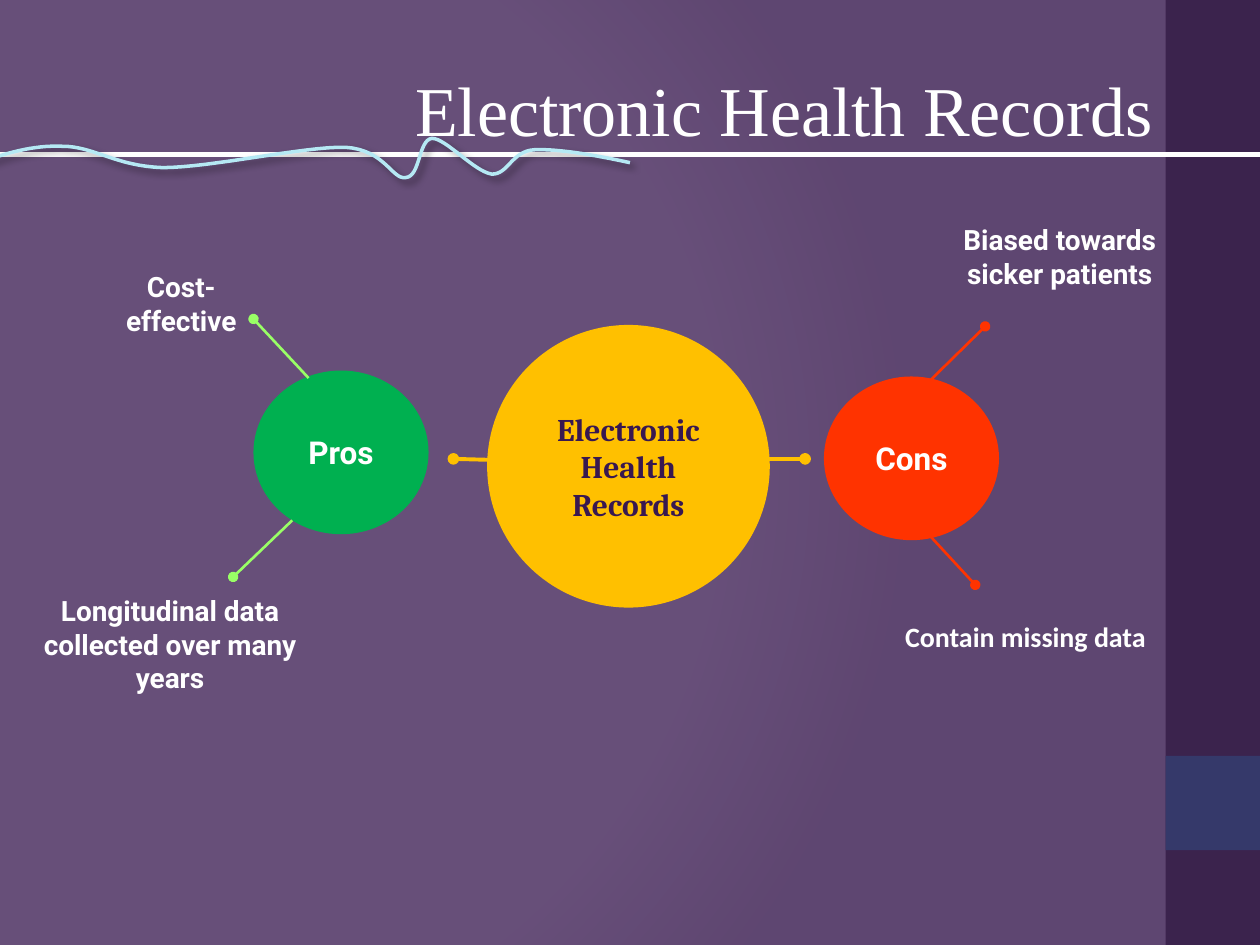
from dataclasses import dataclass

from lxml.etree import SubElement
from pptx import Presentation
from pptx.dml.color import RGBColor
from pptx.enum.shapes import MSO_CONNECTOR, MSO_SHAPE
from pptx.enum.text import MSO_ANCHOR, PP_ALIGN
from pptx.oxml import parse_xml
from pptx.oxml.ns import nsdecls, qn
from pptx.util import Cm, Pt

WHITE = RGBColor(0xFF, 0xFF, 0xFF)
GRAY = RGBColor(0x46, 0x46, 0x46)
TEAL = RGBColor(0x2D, 0xA2, 0xBF)
PURPLE = RGBColor(0x38, 0x18, 0x50)
PALE_BLUE = RGBColor(0xB5, 0xE9, 0xF4)
AMBER = RGBColor(0xFF, 0xC0, 0x00)
GREEN = RGBColor(0x00, 0xB0, 0x50)
LIGHT_GREEN = RGBColor(0x99, 0xFF, 0x66)
RED = RGBColor(0xFF, 0x33, 0x00)

CURVE_STEPS = 16


@dataclass(frozen=True)
class Box:
    left: float
    top: float
    width: float
    height: float

    def lengths(self):
        return Cm(self.left), Cm(self.top), Cm(self.width), Cm(self.height)


@dataclass(frozen=True)
class TextStyle:
    font: str
    size: int
    color: RGBColor = WHITE
    bold: bool = True
    align: PP_ALIGN = PP_ALIGN.CENTER
    anchor: MSO_ANCHOR = MSO_ANCHOR.TOP


@dataclass(frozen=True)
class Bubble:
    lines: tuple
    box: Box
    fill: RGBColor
    style: TextStyle
    border: float = 0


@dataclass(frozen=True)
class Spoke:
    """A line with a dot at its start, lengths in centimetres."""
    start: tuple
    end: tuple
    color: RGBColor
    width: float = 1.5


@dataclass(frozen=True)
class Label:
    text: str
    box: Box
    style: TextStyle


BUBBLE_STYLE = TextStyle("Roboto", 18, anchor=MSO_ANCHOR.MIDDLE)
HUB_STYLE = TextStyle("Cambria", 18, PURPLE, anchor=MSO_ANCHOR.MIDDLE)
LABEL_STYLE = TextStyle("Roboto", 16)
TITLE_STYLE = TextStyle("Times New Roman", 40, bold=False,
                        align=PP_ALIGN.RIGHT, anchor=MSO_ANCHOR.MIDDLE)

BUBBLES = (
    Bubble(("Electronic", "Health", "Records"), Box(9.98, 6.71, 5.38, 5.38),
           AMBER, HUB_STYLE, border=9),
    Bubble(("Pros",), Box(5.11, 7.47, 3.53, 3.3), GREEN, BUBBLE_STYLE),
    Bubble(("Cons",), Box(16.61, 7.59, 3.53, 3.3), RED, BUBBLE_STYLE),
)
SPOKES = (
    Spoke((5.11, 6.43), (6.22, 7.62), LIGHT_GREEN),
    Spoke((4.7, 11.63), (5.89, 10.49), LIGHT_GREEN),
    Spoke((9.14, 9.25), (9.88, 9.27), AMBER, 2.25),
    Spoke((16.23, 9.25), (15.49, 9.25), AMBER, 2.25),
    Spoke((19.86, 6.58), (18.75, 7.67), RED),
    Spoke((19.66, 11.79), (18.69, 10.74), RED),
)
LABELS = (
    Label("Electronic Health Records", Box(8.1, 0.05, 15.39, 4.27), TITLE_STYLE),
    Label("Cost-effective", Box(1.8, 5.31, 3.71, 0.94), LABEL_STYLE),
    Label("Longitudinal data collected over many years",
          Box(0.61, 11.84, 5.64, 2.31), LABEL_STYLE),
    Label("Biased towards sicker patients", Box(19.08, 4.37, 4.57, 1.63), LABEL_STYLE),
    Label("Contain missing data", Box(17.6, 12.37, 6.15, 1.7), TextStyle("Calibri", 16)),
)
WAVE_START = (-0.43, 3.28)
WAVE_CURVES = (
    ((0.1, 3.1), (0.66, 2.92), (1.27, 2.95)),
    ((1.88, 2.95), (2.34, 3.35), (3.28, 3.38)),
    ((4.24, 3.38), (6.15, 2.95), (6.96, 2.97)),
    ((7.77, 3.02), (7.9, 3.63), (8.18, 3.58)),
    ((8.48, 3.56), (8.43, 2.82), (8.71, 2.79)),
    ((8.99, 2.79), (9.55, 3.45), (9.91, 3.51)),
    ((10.24, 3.53), (10.31, 3.05), (10.77, 3.02)),
    ((11.25, 3.0), (11.96, 3.12), (12.7, 3.28)),
)


def set_background(slide) -> None:
    """Give the slide a circular white to gray gradient."""
    slide.background.fill.gradient()
    gradient = slide.element.find(".//" + qn("a:gradFill"))
    stops = "".join(f'<a:gs pos="{position}"><a:srgbClr val="{color}"/></a:gs>'
                    for position, color in ((0, "FFFFFF"), (75000, "FFFFFF"), (100000, "DADADA")))
    gradient.getparent().replace(gradient, parse_xml(
        f'<a:gradFill {nsdecls("a")} rotWithShape="1"><a:gsLst>{stops}</a:gsLst>'
        '<a:path path="circle"><a:fillToRect l="20000" t="50000" r="100000" b="50000"/>'
        '</a:path></a:gradFill>'))


def add_filled(slide, kind: MSO_SHAPE, box: Box, fill: RGBColor, border: float = 0):
    shape = slide.shapes.add_shape(kind, *box.lengths())
    shape.shadow.inherit = False
    shape.fill.solid()
    shape.fill.fore_color.rgb = fill
    if border:
        shape.line.color.rgb = fill
        shape.line.width = Pt(border)
    else:
        shape.line.fill.background()
    return shape


def write_text(shape, lines: tuple, style: TextStyle) -> None:
    frame = shape.text_frame
    frame.word_wrap = True
    frame.vertical_anchor = style.anchor
    frame.text = "\n".join(lines)
    for paragraph in frame.paragraphs:
        paragraph.alignment = style.align
        paragraph.font.name = style.font
        paragraph.font.size = Pt(style.size)
        paragraph.font.bold = style.bold
        paragraph.font.color.rgb = style.color


def add_line(slide, line: Spoke, dotted_start: bool = True) -> None:
    connector = slide.shapes.add_connector(
        MSO_CONNECTOR.STRAIGHT, *map(Cm, line.start + line.end))
    connector.line.color.rgb = line.color
    connector.line.width = Pt(line.width)
    properties = connector.element.find(qn("p:spPr"))
    if dotted_start:
        SubElement(properties.find(qn("a:ln")), qn("a:headEnd"), type="oval")
    SubElement(properties, qn("a:effectLst"))


def curve_point(points: tuple, t: float) -> tuple:
    """Point at t on a cubic Bézier curve, in EMU."""
    weights = ((1 - t) ** 3, 3 * t * (1 - t) ** 2, 3 * t ** 2 * (1 - t), t ** 3)
    return tuple(Cm(sum(weight * point[axis] for weight, point in zip(weights, points)))
                 for axis in (0, 1))


def add_wave(slide) -> None:
    builder = slide.shapes.build_freeform(*map(Cm, WAVE_START))
    start = WAVE_START
    for curve in WAVE_CURVES:
        builder.add_line_segments(
            [curve_point((start, *curve), step / CURVE_STEPS)
             for step in range(1, CURVE_STEPS + 1)], close=False)
        start = curve[-1]
    wave = builder.convert_to_shape()
    wave.fill.background()
    wave.line.color.rgb = PALE_BLUE
    wave.line.width = Pt(2)
    wave.shadow.inherit = False
    effects = wave.element.find(".//" + qn("a:effectLst"))
    shadow = SubElement(effects, qn("a:outerShdw"), blurRad=str(Pt(4)),
                        dist=str(Pt(3)), dir="2700000", rotWithShape="0")
    color = SubElement(shadow, qn("a:srgbClr"), val="000000")
    SubElement(color, qn("a:alpha"), val="40000")


def main() -> None:
    presentation = Presentation()
    presentation.slide_width, presentation.slide_height = Cm(25.4), Cm(19.05)
    slide = presentation.slides.add_slide(presentation.slide_layouts[6])

    set_background(slide)
    add_filled(slide, MSO_SHAPE.RECTANGLE, Box(23.5, 0, 1.9, 19.05), GRAY)
    add_filled(slide, MSO_SHAPE.RECTANGLE, Box(23.5, 15.24, 1.9, 1.9), TEAL)
    veil = add_filled(slide, MSO_SHAPE.RECTANGLE, Box(-0.08, 0, 25.55, 19.05), PURPLE)
    SubElement(veil.element.find(".//" + qn("a:srgbClr")), qn("a:alpha"), val="76000")
    add_line(slide, Spoke((27.08, 3.12), (-0.71, 3.12), WHITE, 3), dotted_start=False)
    add_wave(slide)

    for bubble in BUBBLES:
        shape = add_filled(slide, MSO_SHAPE.OVAL, bubble.box, bubble.fill, bubble.border)
        write_text(shape, bubble.lines, bubble.style)
    for spoke in SPOKES:
        add_line(slide, spoke)
    for label in LABELS:
        write_text(slide.shapes.add_textbox(*label.box.lengths()), (label.text,), label.style)

    presentation.save("out.pptx")


if __name__ == "__main__":
    main()
